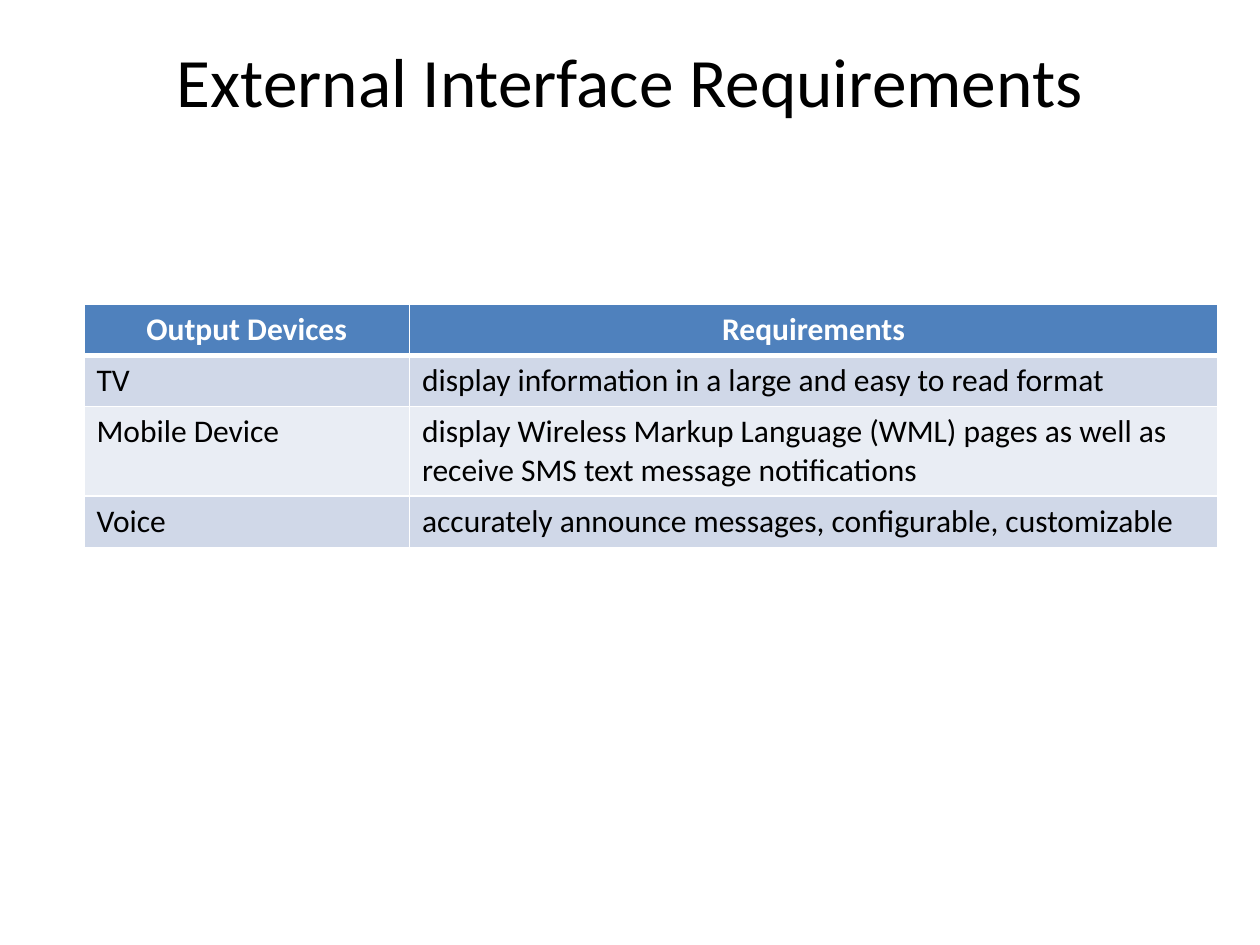
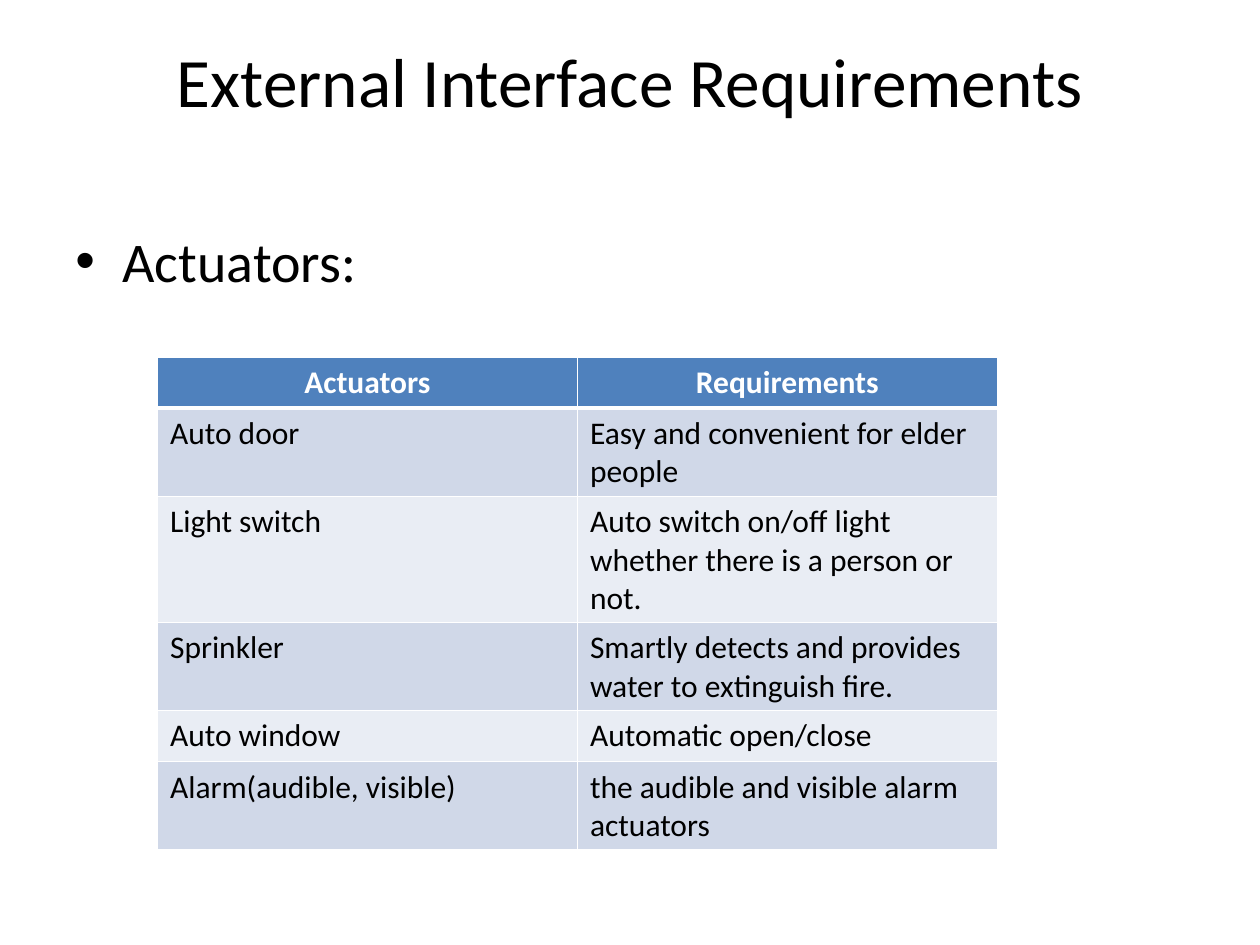
from lxml import etree
from pptx import Presentation
from pptx.dml.color import RGBColor
from pptx.enum.text import MSO_ANCHOR as Anchor, PP_ALIGN as Align
from pptx.oxml.ns import qn
from pptx.util import Pt

FONT = "Calibri"
BLACK, WHITE = "000000", "FFFFFF"
HEADER_FILL = "4F81BD"
BAND_FILLS = ("D0D8E8", "E9EDF4")
ROW_HEIGHT = 29.2
TITLE = "External Interface Requirements"
TITLE_BOX = (36, 21.6, 648, 90)
TITLE_ONLY = 5


def color(hex_code):
    return RGBColor.from_string(hex_code)


def add_run(paragraph, text, size, hex_code=BLACK, bold=False):
    run = paragraph.add_run()
    run.text = text
    run.font.name = FONT
    run.font.size = Pt(size)
    run.font.bold = bold
    run.font.color.rgb = color(hex_code)


def add_titled_slide(presentation):
    slide = presentation.slides.add_slide(presentation.slide_layouts[TITLE_ONLY])
    title = slide.shapes.title
    title.left, title.top, title.width, title.height = map(Pt, TITLE_BOX)
    # The title sits in the upper half of its box
    frame = title.text_frame
    frame.vertical_anchor = Anchor.MIDDLE
    frame.margin_top, frame.margin_bottom = Pt(0), Pt(42)
    paragraph = frame.paragraphs[0]
    paragraph.alignment = Align.CENTER
    add_run(paragraph, TITLE, 39.6)
    return slide


def add_bullet(slide, text, box):
    frame = slide.shapes.add_textbox(*map(Pt, box)).text_frame
    frame.word_wrap = True
    paragraph = frame.paragraphs[0]
    add_run(paragraph, text, 32)
    # Hanging indent and bullet mark
    properties = paragraph._p.get_or_add_pPr()
    properties.set("marL", str(Pt(27)))
    properties.set("indent", str(-Pt(27)))
    etree.SubElement(properties, qn("a:buFont"), typeface="Arial")
    etree.SubElement(properties, qn("a:buChar"), char="•")


def set_borders(cell, top, bottom):
    properties = cell._tc.get_or_add_tcPr()
    for side, width in (("L", 1), ("R", 1), ("T", top), ("B", bottom)):
        line = etree.SubElement(properties, qn(f"a:ln{side}"), w=str(Pt(width)))
        fill = etree.SubElement(line, qn("a:solidFill"))
        etree.SubElement(fill, qn("a:srgbClr"), val=WHITE)


def add_banded_table(slide, rows, left, top, column_widths):
    table = slide.shapes.add_table(
        len(rows), len(column_widths), Pt(left), Pt(top),
        Pt(sum(column_widths)), Pt(ROW_HEIGHT * len(rows))).table
    for column, width in zip(table.columns, column_widths):
        column.width = Pt(width)
    for index, texts in enumerate(rows):
        table.rows[index].height = Pt(ROW_HEIGHT)
        header = index == 0
        for cell, text in zip(table.rows[index].cells, texts):
            # A thick rule parts the header from the body
            set_borders(cell, top=3 if index == 1 else 1, bottom=3 if header else 1)
            cell.fill.solid()
            cell.fill.fore_color.rgb = color(
                HEADER_FILL if header else BAND_FILLS[(index - 1) % 2])
            paragraph = cell.text_frame.paragraphs[0]
            paragraph.alignment = Align.CENTER if header else Align.LEFT
            add_run(paragraph, text, 18, WHITE if header else BLACK, header)


OUTPUT_DEVICES = [
    ("Output Devices", "Requirements"),
    ("TV", "display information in a large and easy to read format"),
    ("Mobile Device", "display Wireless Markup Language (WML) pages as well as "
                      "receive SMS text message notifications"),
    ("Voice", "accurately announce messages, configurable, customizable"),
]
ACTUATORS = [
    ("Actuators", "Requirements"),
    ("Auto door", "Easy and convenient for elder people"),
    ("Light switch", "Auto switch on/off light whether there is a person or not."),
    ("Sprinkler", "Smartly detects and provides water to extinguish fire."),
    ("Auto window", "Automatic open/close"),
    ("Alarm(audible, visible)", "the audible and visible alarm actuators"),
]

presentation = Presentation()
presentation.slide_width, presentation.slide_height = Pt(720), Pt(540)

# Output devices
slide = add_titled_slide(presentation)
add_banded_table(slide, OUTPUT_DEVICES, 48, 174, (186, 462))

# Actuators
slide = add_titled_slide(presentation)
add_bullet(slide, "Actuators:", (36, 126, 648, 356.4))
add_banded_table(slide, ACTUATORS, 90, 204, (240, 240))

presentation.save("out.pptx")
